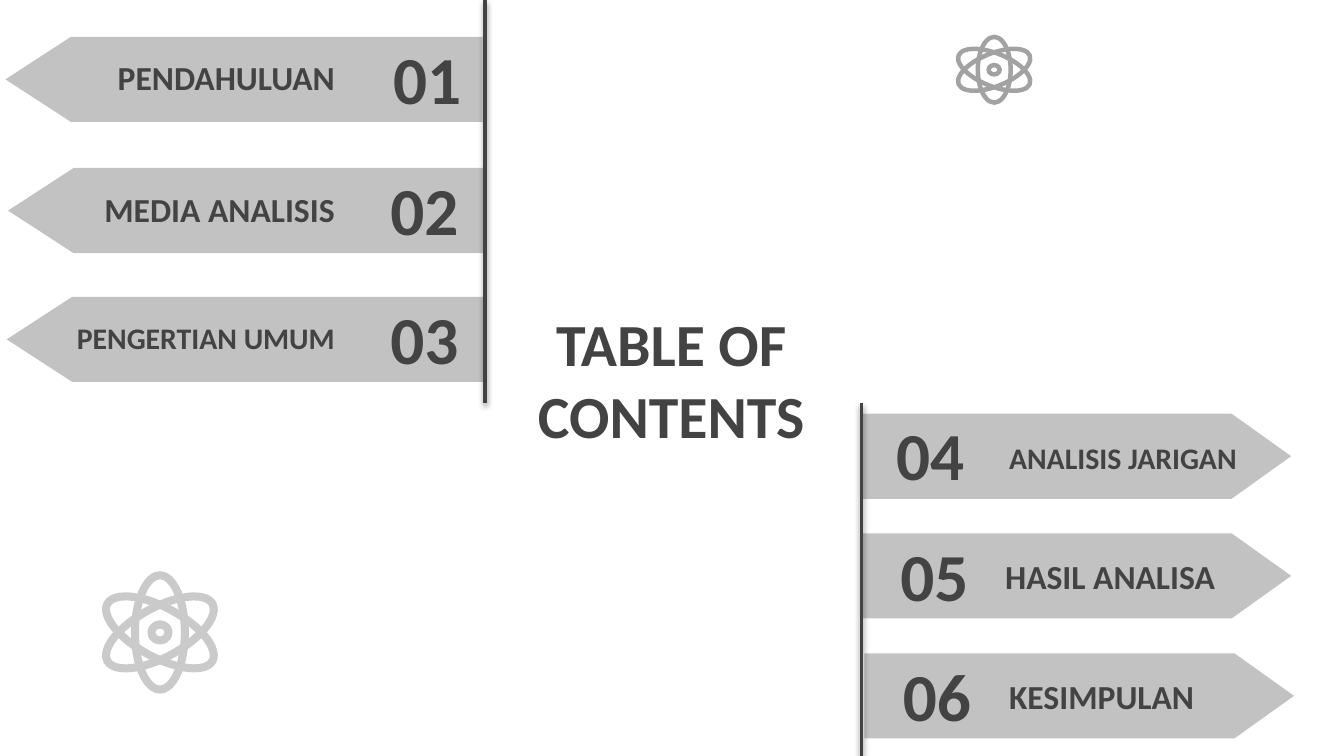
from lxml import etree
from pptx import Presentation
from pptx import util as u
from pptx.dml.color import RGBColor
from pptx.enum import shapes, text
from pptx.oxml import parse_xml
from pptx.oxml.ns import nsdecls

Pt = u.Pt
INK = RGBColor(0x43, 0x43, 0x43)
BAND = RGBColor(0xC2, 0xC2, 0xC2)
PALE_ATOM = RGBColor(0xCA, 0xCA, 0xCA)
DARK_ATOM = RGBColor(0xA2, 0xA2, 0xA2)
LEFT, CENTER, RIGHT = text.PP_ALIGN.LEFT, text.PP_ALIGN.CENTER, text.PP_ALIGN.RIGHT
BAND_HEIGHT = 45.6

SHADOW = (
    f'<a:effectLst {nsdecls("a")}><a:outerShdw blurRad="39400" dist="20300" dir="5400000">'
    '<a:srgbClr val="000000"><a:alpha val="38000"/></a:srgbClr></a:outerShdw></a:effectLst>'
)

deck = Presentation()
deck.slide_width, deck.slide_height = Pt(720), Pt(405)
slide = deck.slides.add_slide(deck.slide_layouts[6])


def write(words, x, y, width, height=BAND_HEIGHT, size=18, align=LEFT):
    box = slide.shapes.add_textbox(Pt(x), Pt(y), Pt(width), Pt(height))
    frame = box.text_frame
    frame.word_wrap = True
    frame.vertical_anchor = text.MSO_ANCHOR.MIDDLE
    frame.margin_left = frame.margin_right = Pt(7.2)
    frame.margin_top = frame.margin_bottom = Pt(7.2)
    paragraph = frame.paragraphs[0]
    paragraph.alignment = align
    run = paragraph.add_run()
    run.text = words
    run.font.name = "Calibri"
    run.font.size = Pt(size)
    run.font.bold = True
    run.font.color.rgb = INK


def ellipse(center_x, center_y, width, height, stroke, color, turn=0):
    w, h = width - stroke, height - stroke
    ring = slide.shapes.add_shape(
        shapes.MSO_SHAPE.OVAL, Pt(center_x - w / 2), Pt(center_y - h / 2), Pt(w), Pt(h))
    ring.rotation = turn
    ring.shadow.inherit = False
    ring.fill.background()
    ring.line.color.rgb = color
    ring.line.width = Pt(stroke)


bands = [
    (2.9, 19.7, 255.6, 180, 0.77),
    (4.3, 90, 255.6, 180, 0.77),
    (3.6, 159, 255.6, 180, 0.77),
    (461.5, 221.6, 230.2, 0, 0.7),
    (461.5, 285.7, 230.2, 0, 0.7),
    (463, 350, 230.2, 0, 0.7),
]
for x, y, width, turn, tip in bands:
    band = slide.shapes.add_shape(
        shapes.MSO_SHAPE.PENTAGON, Pt(x), Pt(y), Pt(width), Pt(BAND_HEIGHT))
    band.adjustments[0] = tip
    band.rotation = turn
    band.shadow.inherit = False
    band.fill.solid()
    band.fill.fore_color.rgb = BAND
    band.line.fill.background()

for x, top, bottom in [(260, 0, 216), (461.5, 216, 405)]:
    pole = slide.shapes.add_connector(
        shapes.MSO_CONNECTOR.STRAIGHT, Pt(x), Pt(top), Pt(x), Pt(bottom))
    pole.line.color.rgb = INK
    pole.line.width = Pt(2)
    pole._element.spPr.append(parse_xml(SHADOW))

write("TABLE OF CONTENTS", 266.4, 165.6, 186.5, height=74.2, size=32, align=CENTER)

chapters = [
    ("01", 167, 18.7, "PENDAHULUAN", 31, 18.7, 155.5, 18, RIGHT),
    ("02", 165.6, 88.8, "MEDIA ANALISIS", 31, 89.3, 155.5, 18, RIGHT),
    ("03", 165.6, 158, "PENGERTIAN UMUM", 0, 158, 186.5, 16, RIGHT),
    ("04", 473, 220.3, "ANALISIS JARIGAN", 533.5, 222.5, 170, 16, LEFT),
    ("05", 475.2, 285.1, "HASIL ANALISA", 531.4, 285.8, 155.5, 18, LEFT),
    ("06", 476.6, 349.2, "KESIMPULAN", 533.5, 350, 155.5, 18, LEFT),
]
for number, number_x, number_y, title, title_x, title_y, width, size, align in chapters:
    write(number, number_x, number_y, 87.1, size=36, align=align)
    write(title, title_x, title_y, width, size=size, align=align)

atoms = [
    (85.7, 338.8, (31, 65.5), (68.4, 31), 28.5, (13.5, 13), 4.3, PALE_ATOM),
    (532.6, 37.4, (20, 37.6), (43.5, 20), 22, (8.3, 7.4), 2.4, DARK_ATOM),
]
for x, y, upright, slanted, tilt, nucleus, stroke, color in atoms:
    for (width, height), turn in [(upright, 0), (slanted, tilt), (slanted, -tilt), (nucleus, 0)]:
        ellipse(x, y, width, height, stroke, color, turn)

deck.save("out.pptx")
